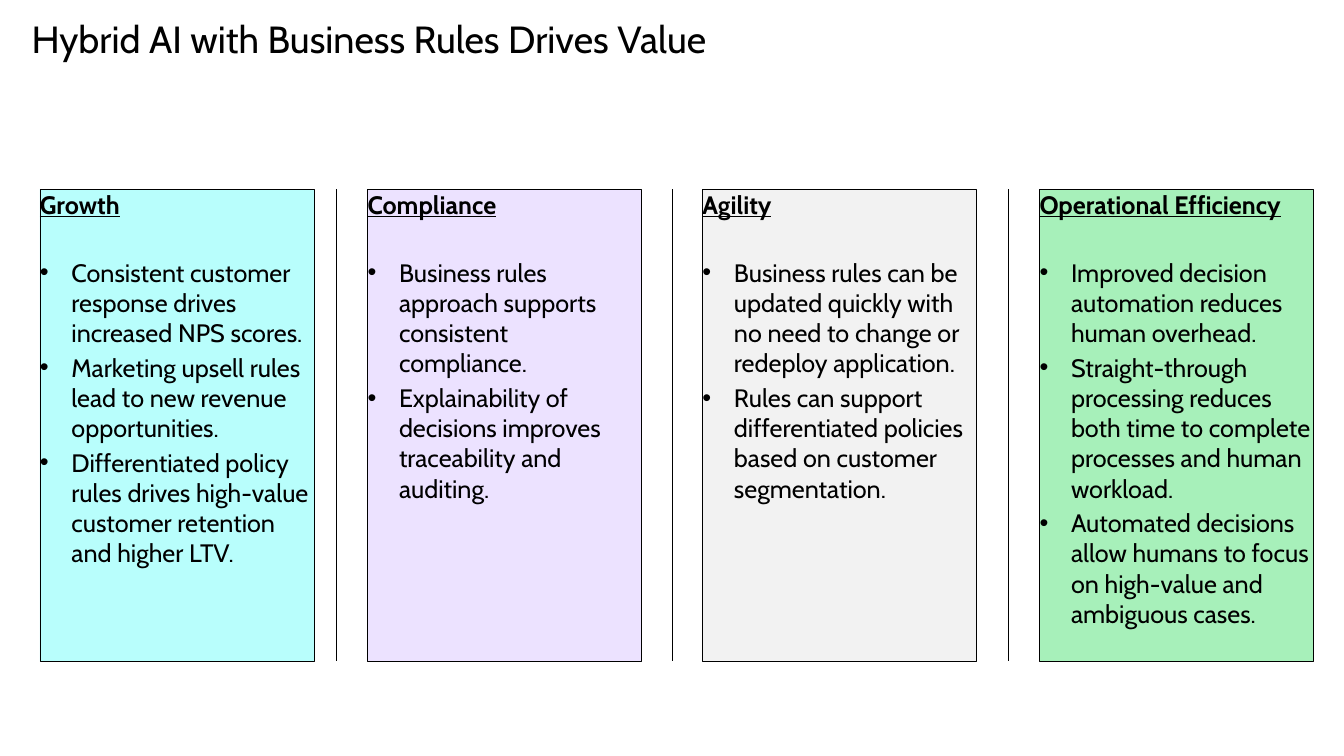
from lxml import etree
from pptx import Presentation
from pptx.dml.color import RGBColor
from pptx.enum.shapes import MSO_CONNECTOR
from pptx.enum.text import MSO_ANCHOR, MSO_AUTO_SIZE, PP_ALIGN
from pptx.oxml.ns import qn
from pptx.util import Pt

EMU_PER_PX = 19050
STRAIGHT = MSO_CONNECTOR.STRAIGHT
TOP = MSO_ANCHOR.TOP
NO_AUTOFIT = MSO_AUTO_SIZE.NONE
LEFT = PP_ALIGN.LEFT

BLACK = RGBColor(0x00, 0x00, 0x00)
CYAN = RGBColor(0xB8, 0xFE, 0xFC)
LAVENDER = RGBColor(0xEC, 0xE2, 0xFF)
GRAY = RGBColor(0xF2, 0xF2, 0xF2)
GREEN = RGBColor(0xA7, 0xF0, 0xBA)

FONT = "Cabin"
COMPARISON_LAYOUT = 4
SLIDE_WIDTH, SLIDE_HEIGHT = 1280, 720
COLUMN_TOP, COLUMN_WIDTH, COLUMN_HEIGHT = 180, 261, 450
COLUMN_PITCH = SLIDE_WIDTH // 4
BULLET_INDENT = 30

COLUMNS = [
    (38, CYAN, "Growth", [
        "Consistent customer response drives increased NPS scores.",
        "Marketing upsell rules lead to new revenue opportunities.",
        "Differentiated policy rules drives high-value customer retention and higher LTV.",
    ]),
    (350, LAVENDER, "Compliance", [
        "Business rules approach supports consistent compliance.",
        "Explainability of decisions improves traceability and auditing.",
    ]),
    (669, GRAY, "Agility", [
        "Business rules can be updated quickly with no need to change or redeploy application.",
        "Rules can support differentiated policies based on customer segmentation.",
    ]),
    (990, GREEN, "Operational Efficiency", [
        "Improved decision automation reduces human overhead.",
        "Straight-through processing reduces both time to complete processes and human workload.",
        "Automated decisions allow humans to focus on high-value and ambiguous cases.",
    ]),
]


def px(length):
    return length * EMU_PER_PX


def place(shape, left, top, width, height):
    shape.left, shape.top = px(left), px(top)
    shape.width, shape.height = px(width), px(height)
    frame = shape.text_frame
    frame.margin_left = frame.margin_right = 0
    frame.margin_top = frame.margin_bottom = 0
    frame.vertical_anchor = TOP
    frame.auto_size = NO_AUTOFIT
    frame.word_wrap = True


def set_bullet(paragraph, character):
    properties = paragraph._p.get_or_add_pPr()
    indent = px(BULLET_INDENT) if character else 0
    properties.set("marL", str(indent))
    properties.set("indent", str(-indent))
    if not character:
        etree.SubElement(properties, qn("a:buNone"))
        return
    color = etree.SubElement(properties, qn("a:buClr"))
    etree.SubElement(color, qn("a:srgbClr"), val=str(BLACK))
    etree.SubElement(properties, qn("a:buFont"), typeface="Arial")
    etree.SubElement(properties, qn("a:buChar"), char=character)


def format_paragraph(paragraph, size, space_before=0, bold=False, underline=False):
    paragraph.alignment = LEFT
    paragraph.space_before = Pt(space_before)
    font = paragraph.font
    font.name = FONT
    font.size = Pt(size)
    font.bold = bold
    font.underline = underline
    font.color.rgb = BLACK


def add_title(slide, text):
    title = slide.shapes.title
    place(title, 30, 20, 854, 80)
    paragraph = title.text_frame.paragraphs[0]
    paragraph.text = text
    paragraph.line_spacing = 0.9
    format_paragraph(paragraph, 54)


def add_divider(slide, left):
    divider = slide.shapes.add_connector(
        STRAIGHT, px(left), px(COLUMN_TOP), px(left), px(COLUMN_TOP + COLUMN_HEIGHT))
    divider.line.color.rgb = BLACK
    divider.line.width = Pt(1)
    etree.SubElement(divider._element.spPr, qn("a:effectLst"))


def fill_column(placeholder, left, color, heading, points):
    place(placeholder, left, COLUMN_TOP, COLUMN_WIDTH, COLUMN_HEIGHT)
    placeholder.fill.solid()
    placeholder.fill.fore_color.rgb = color
    placeholder.line.color.rgb = BLACK
    placeholder.line.width = Pt(0.75)
    frame = placeholder.text_frame
    paragraph = frame.paragraphs[0]
    paragraph.text = heading
    set_bullet(paragraph, None)
    format_paragraph(paragraph, 36, bold=True, underline=True)
    for index, point in enumerate(points):
        paragraph = frame.add_paragraph()
        paragraph.text = point
        set_bullet(paragraph, "•")
        format_paragraph(paragraph, 36, space_before=6 if index else 54)


def main():
    presentation = Presentation()
    presentation.slide_width = px(SLIDE_WIDTH)
    presentation.slide_height = px(SLIDE_HEIGHT)
    slide = presentation.slides.add_slide(presentation.slide_layouts[COMPARISON_LAYOUT])
    add_title(slide, "Hybrid AI with Business Rules Drives Value")
    for number in range(1, len(COLUMNS)):
        add_divider(slide, number * COLUMN_PITCH)
    bodies = list(slide.placeholders)[1:5]
    for placeholder, column in zip(bodies, COLUMNS):
        fill_column(placeholder, *column)
    presentation.save("out.pptx")


if __name__ == "__main__":
    main()
